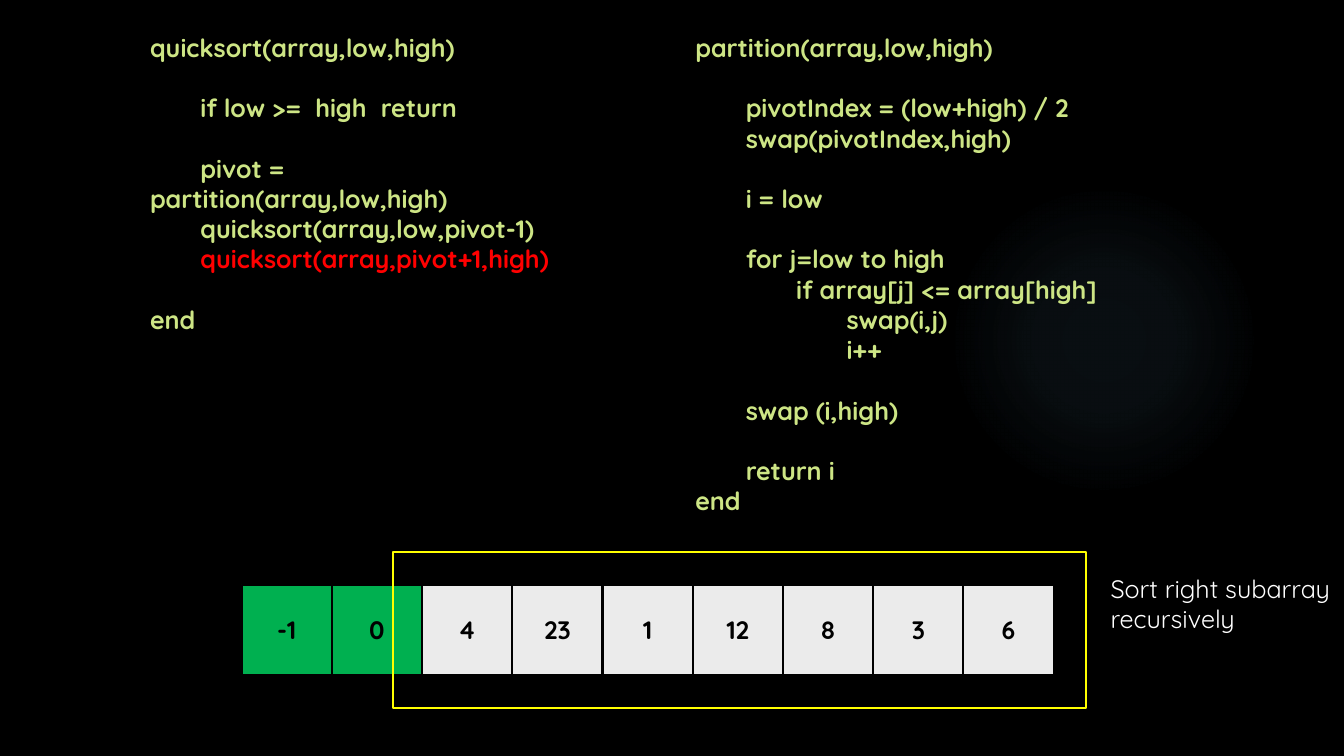
import pptx
import pptx.util
import pptx.dml.color
import pptx.enum.shapes
import pptx.enum.text
import pptx.oxml
import pptx.oxml.ns

Pt = pptx.util.Pt
SHAPE = pptx.enum.shapes.MSO_SHAPE
TEXT = pptx.enum.text

# Content: (indent level, text, colour, blank line above)
LIME, RED, WHITE, BLACK = "CDE585", "FF0000", "FFFFFF", "000000"
GREEN, GREY, YELLOW, BLUE = "00B050", "EBEBEB", "FFFF00", "7AC4F0"
FONT, SIZE = "Quicksand", 18
LINE, TAB = 21.6, 36

SORT = [
    (0, "quicksort(array,low,high)", LIME, False),
    (1, "if low >=  high  return", LIME, True),
    (1, "pivot = partition(array,low,high)", LIME, True),
    (1, "quicksort(array,low,pivot-1)", LIME, False),
    (1, "quicksort(array,pivot+1,high)", RED, False),
    (0, "end", LIME, True),
]
SPLIT = [
    (0, "partition(array,low,high)", LIME, False),
    (1, "pivotIndex = (low+high) / 2", LIME, True),
    (1, "swap(pivotIndex,high)", LIME, False),
    (1, "i = low", LIME, True),
    (1, "for j=low to high", LIME, True),
    (2, "if array[j] <= array[high]", LIME, False),
    (3, "swap(i,j)", LIME, False),
    (3, "i++", LIME, False),
    (1, "swap (i,high)", LIME, True),
    (1, "return i", LIME, True),
    (0, "end", LIME, False),
]
NOTE = [
    (0, "Sort right subarray", WHITE, False),
    (0, "recursively", WHITE, False),
]
# Lines, box (left, top, width, height), bold
BLOCKS = [
    (SORT, (100.1, 19.4, 320, 225), True),
    (SPLIT, (489.6, 19.4, 342, 378), True),
    (NOTE, (786.2, 406.1, 173.5, 51), False),
]
ARRAY = [-1, 0, 4, 23, 1, 12, 8, 3, 6]
DONE = 2  # values already in place
LEFT, TOP, STEP, TALL = 172.6, 417.6, 64.45, 64.6
FRAME = (280.6, 394.2, 495.4, 111.6)
GLOW = (677.5, 131.8, 221.8, 221.8)
STOPS = [(0, 7), (36, 6), (69, 0)]  # position and opacity, percent


def rgb(code):
    return pptx.dml.color.RGBColor.from_string(code)


def write(para, text, color, bold):
    run = para.add_run()
    run.text = text
    font = run.font
    font.name, font.size, font.bold = FONT, Pt(SIZE), bold
    font.color.rgb = rgb(color)


def draw(kind, box, fill=None, line=None):
    shape = slide.shapes.add_shape(kind, *map(Pt, box))
    shape.shadow.inherit = False
    if fill:
        shape.fill.solid()
        shape.fill.fore_color.rgb = rgb(fill)
    else:
        shape.fill.background()
    if line:
        shape.line.color.rgb = rgb(line)
        shape.line.width = Pt(1.5)
    else:
        shape.line.fill.background()
    return shape


def block(lines, box, bold):
    frame = slide.shapes.add_textbox(*map(Pt, box)).text_frame
    frame.word_wrap = True
    for n, (level, text, color, gap) in enumerate(lines):
        para = frame.add_paragraph() if n else frame.paragraphs[0]
        if gap:
            para.space_before = Pt(LINE)
        if level:
            # First-line indent only, so a wrapped line returns to the margin
            prop = para._p.get_or_add_pPr()
            prop.set("marL", "0")
            prop.set("indent", str(Pt(level * TAB)))
        write(para, text, color, bold)


def glow(box):
    shape = draw(SHAPE.OVAL, box)
    stops = "".join(
        f'<a:gs pos="{pos * 1000}"><a:srgbClr val="{BLUE}">'
        f'<a:alpha val="{alpha * 1000}"/></a:srgbClr></a:gs>'
        for pos, alpha in STOPS)
    grad = pptx.oxml.parse_xml(
        f'<a:gradFill {pptx.oxml.ns.nsdecls("a")}><a:gsLst>{stops}</a:gsLst>'
        '<a:path path="circle">'
        '<a:fillToRect l="50000" t="50000" r="50000" b="50000"/>'
        '</a:path></a:gradFill>')
    prop = shape._element.spPr
    prop.replace(prop.find(pptx.oxml.ns.qn("a:noFill")), grad)


# Slide
deck = pptx.Presentation()
deck.slide_width, deck.slide_height = Pt(960), Pt(540)
slide = deck.slides.add_slide(deck.slide_layouts[6])
slide.background.fill.solid()
slide.background.fill.fore_color.rgb = rgb(BLACK)
glow(GLOW)

# Array cells
for n, value in enumerate(ARRAY):
    cell = draw(SHAPE.RECTANGLE, (LEFT + n * STEP, TOP, STEP, TALL),
                GREEN if n < DONE else GREY, BLACK)
    frame = cell.text_frame
    frame.vertical_anchor = TEXT.MSO_ANCHOR.MIDDLE
    para = frame.paragraphs[0]
    para.alignment = TEXT.PP_ALIGN.CENTER
    write(para, str(value), BLACK, True)

# Code, note and frame around the right part
for lines, box, bold in BLOCKS:
    block(lines, box, bold)
draw(SHAPE.RECTANGLE, FRAME, line=YELLOW)

deck.save("out.pptx")
